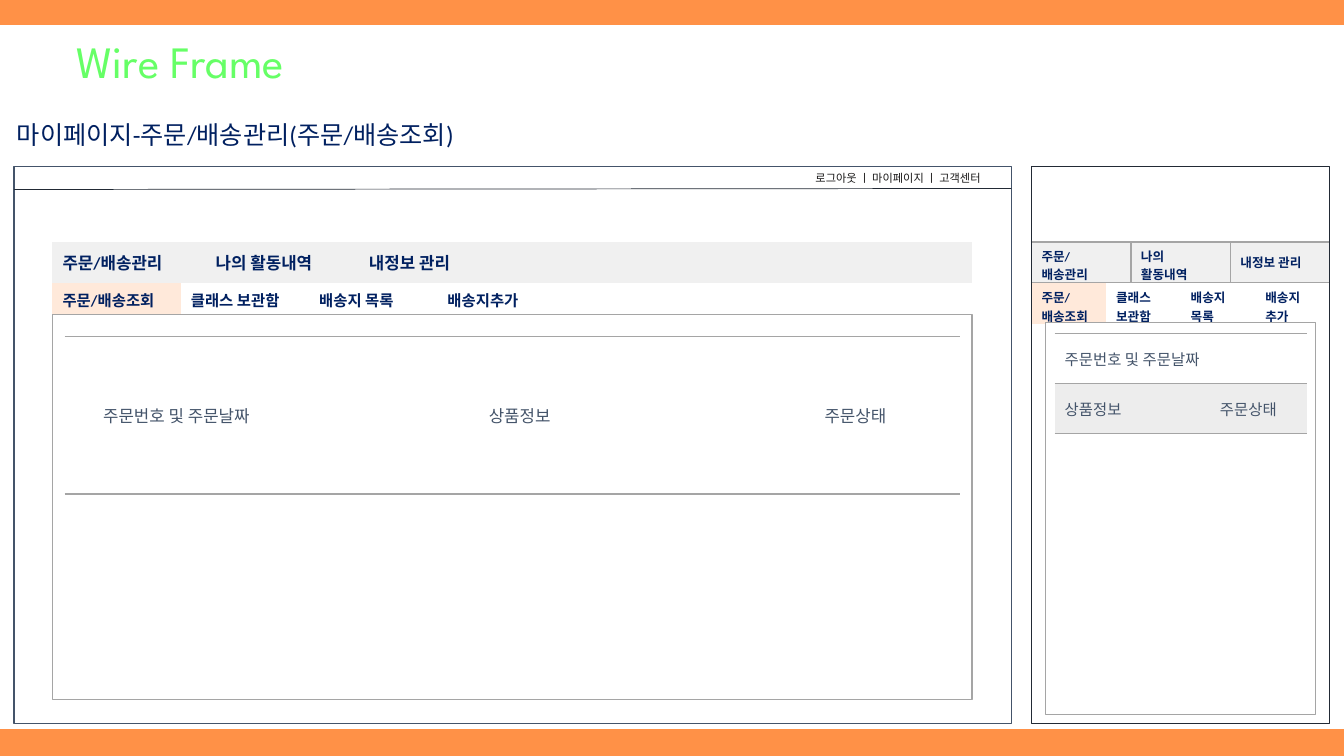
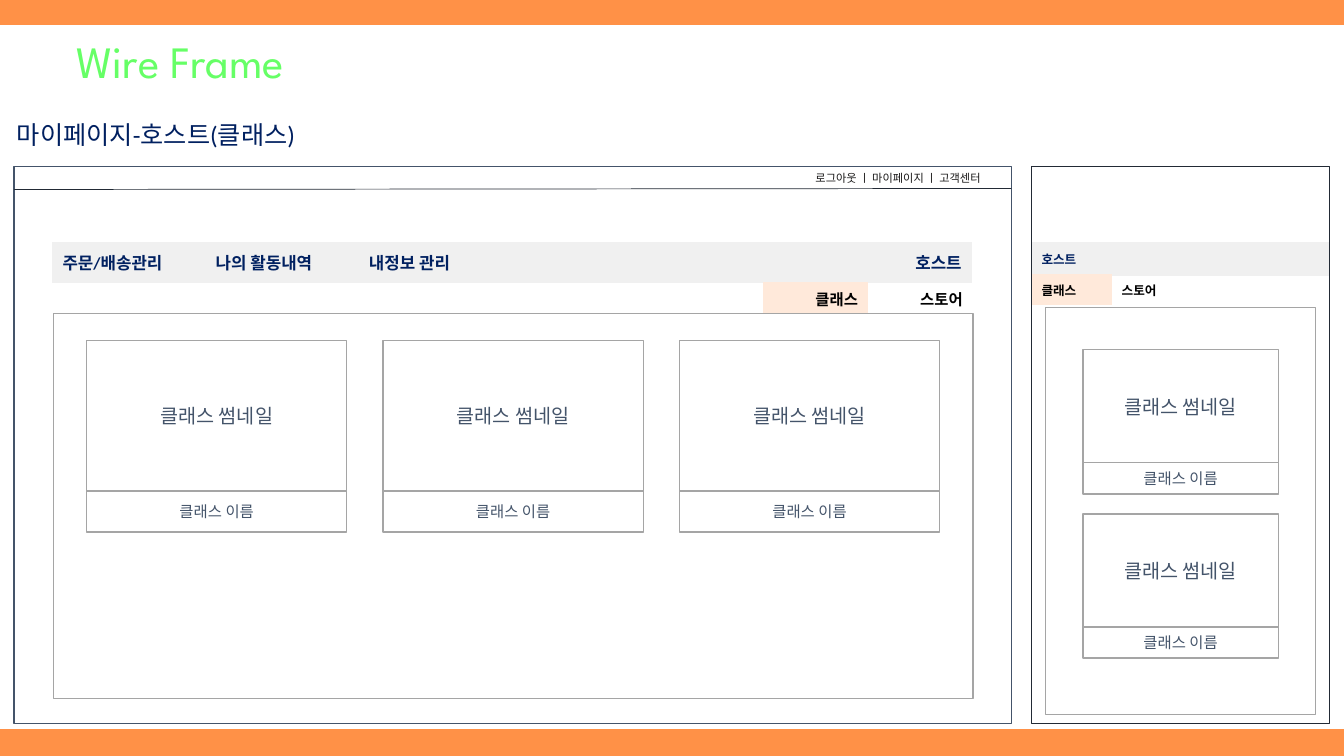
from dataclasses import dataclass
from typing import NamedTuple, Optional, Sequence

from lxml.etree import SubElement
from pptx import Presentation
from pptx.dml.color import RGBColor
from pptx.enum.shapes import MSO_CONNECTOR as Connector, MSO_SHAPE as Preset
from pptx.enum.text import MSO_ANCHOR as Anchor, MSO_AUTO_SIZE as AutoSize, PP_ALIGN as Align
from pptx.oxml.ns import qn
from pptx.util import Inches, Pt


@dataclass(frozen=True)
class Theme:
    orange: str = "FF9147"
    white: str = "FFFFFF"
    green: str = "66FF66"
    navy: str = "002060"
    slate: str = "44546A"
    ink: str = "222A35"
    utility: str = "181717"
    black: str = "000000"
    gray: str = "A5A5A5"
    bar: str = "F0F0F0"
    stripe: str = "EDEDED"
    active: str = "FFE9DA"
    title_font: str = "League Spartan"
    body_font: str = "Calibri"
    title_size: float = 32
    heading_size: float = 18
    thumbnail_size: float = 14
    menu_size: float = 12
    label_size: float = 11
    mobile_size: float = 9
    utility_size: float = 8


THEME = Theme()
NO_GRID_STYLE = "{2D5ABB26-0587-4C30-8999-92F81FD0307C}"


class Box(NamedTuple):
    left: float
    top: float
    width: float
    height: float

    def lengths(self) -> list:
        return [Inches(value) for value in self]


class Style(NamedTuple):
    size: float
    color: str
    bold: bool = False
    font: str = THEME.body_font


class Cell(NamedTuple):
    text: str = ""
    fill: Optional[str] = None
    align: Align = Align.LEFT
    borders: str = ""


MENU = Style(THEME.menu_size, THEME.navy, True)
TAB = Style(THEME.label_size, THEME.navy, True)
HOST_TAB = Style(THEME.label_size, THEME.black, True)
MOBILE = Style(THEME.mobile_size, THEME.navy, True)
MOBILE_HOST_TAB = Style(THEME.mobile_size, THEME.black, True)
ORDER = Style(THEME.menu_size, THEME.slate)
LABEL = Style(THEME.label_size, THEME.slate)
THUMBNAIL = Style(THEME.thumbnail_size, THEME.slate)

DESKTOP = Box(0.14, 1.65, 9.89, 5.53)
PHONE = Box(10.23, 1.65, 2.96, 5.53)
MENU_TOP = 2.4


def write(frame, text: str, style: Style, align: Align = Align.LEFT) -> None:
    frame.text = text
    for paragraph in frame.paragraphs:
        paragraph.alignment = align
        font = paragraph.font
        font.name = style.font
        font.size = Pt(style.size)
        font.bold = style.bold
        font.color.rgb = RGBColor.from_string(style.color)


def add_text(slide, box: Box, text: str, style: Style) -> None:
    frame = slide.shapes.add_textbox(*box.lengths()).text_frame
    frame.word_wrap = True
    frame.auto_size = AutoSize.SHAPE_TO_FIT_TEXT
    write(frame, text, style)


def add_rectangle(slide, box: Box, line: str, fill: Optional[str] = THEME.white,
                  text: str = "", style: Style = LABEL) -> None:
    shape = slide.shapes.add_shape(Preset.RECTANGLE, *box.lengths())
    shape.shadow.inherit = False
    if fill:
        shape.fill.solid()
        shape.fill.fore_color.rgb = RGBColor.from_string(fill)
    else:
        shape.fill.background()
    shape.line.color.rgb = RGBColor.from_string(line)
    shape.line.width = Pt(1)
    if text:
        shape.text_frame.vertical_anchor = Anchor.MIDDLE
        write(shape.text_frame, text, style, Align.CENTER)


def add_borders(cell, sides: str) -> None:
    properties = cell._tc.get_or_add_tcPr()
    for side in (side for side in "LRTB" if side in sides):
        line = SubElement(properties, qn(f"a:ln{side}"), w=str(Pt(1)))
        fill = SubElement(line, qn("a:solidFill"))
        SubElement(fill, qn("a:srgbClr"), val=THEME.gray)


def add_grid(slide, box: Box, rows: Sequence[Sequence[Cell]], style: Style,
             widths: Sequence[float] = ()):
    columns = len(rows[0])
    table = slide.shapes.add_table(len(rows), columns, *box.lengths()).table
    table.first_row = table.horz_banding = False
    table._tbl.tblPr.find(qn("a:tableStyleId")).text = NO_GRID_STYLE
    for column, width in zip(table.columns, widths):
        column.width = Inches(width)
    for row_index, row in enumerate(rows):
        for column_index, content in enumerate(row):
            cell = table.cell(row_index, column_index)
            cell.vertical_anchor = Anchor.MIDDLE
            write(cell.text_frame, content.text, style, content.align)
            add_borders(cell, content.borders)
            if content.fill:
                cell.fill.solid()
                cell.fill.fore_color.rgb = RGBColor.from_string(content.fill)
            else:
                cell.fill.background()
    return table


def bar_cells(labels: Sequence[str], borders: str = "") -> list[Cell]:
    return [Cell(label, THEME.bar, borders=borders) for label in labels]


def tab_cells(labels: Sequence[str], align: Align = Align.LEFT) -> list[Cell]:
    return [Cell(label, None if index else THEME.active, align)
            for index, label in enumerate(labels)]


def add_card(slide, box: Box, name_height: float) -> None:
    picture_height = box.height - name_height
    add_rectangle(slide, box._replace(height=picture_height), THEME.gray,
                  text="클래스 썸네일", style=THUMBNAIL)
    add_rectangle(slide, box._replace(top=box.top + picture_height, height=name_height),
                  THEME.gray, text="클래스 이름")


def start_slide(presentation, heading: str, last_menu: str = ""):
    slide = presentation.slides.add_slide(presentation.slide_layouts[6])
    background = slide.background.fill
    background.solid()
    background.fore_color.rgb = RGBColor.from_string(THEME.orange)
    add_rectangle(slide, Box(0, 0.26, 13.33, 6.97), THEME.white)
    add_text(slide, Box(0.66, 0.29, 2.77, 0.64), "Wire Frame",
             Style(THEME.title_size, THEME.green, font=THEME.title_font))
    add_text(slide, Box(0.07, 1.13, 9.71, 0.4), heading,
             Style(THEME.heading_size, THEME.navy))

    add_rectangle(slide, DESKTOP, THEME.slate)
    menu = bar_cells(["주문/배송관리", "나의 활동내역", "내정보 관리", "", ""])
    menu.append(Cell(last_menu, THEME.bar, Align.RIGHT))
    add_grid(slide, Box(0.52, MENU_TOP, 9.12, 0.41), [menu], MENU)

    rule = slide.shapes.add_connector(
        Connector.STRAIGHT, Inches(DESKTOP.left), Inches(1.88),
        Inches(DESKTOP.left + DESKTOP.width), Inches(1.87))
    rule.line.color.rgb = RGBColor.from_string(THEME.ink)
    rule.line.width = Pt(0.5)
    SubElement(rule._element.spPr, qn("a:effectLst"))
    add_text(slide, Box(7.99, 1.65, 2.04, 0.24), "로그아웃 ㅣ 마이페이지 ㅣ 고객센터",
             Style(THEME.utility_size, THEME.utility))
    return slide


def build_orders(presentation) -> None:
    slide = start_slide(presentation, "마이페이지-주문/배송관리(주문/배송조회)")
    tabs = tab_cells(["주문/배송조회", "클래스 보관함", "배송지 목록", "배송지추가"])
    add_grid(slide, Box(0.52, 2.81, 5.09, 0.31), [tabs], TAB)
    add_rectangle(slide, Box(0.52, 3.12, 9.12, 3.82), THEME.gray)
    order = [Cell(label, align=Align.CENTER, borders="TB")
             for label in ("주문번호 및 주문날짜", "상품정보", "주문상태")]
    add_grid(slide, Box(0.64, 3.34, 8.89, 1.56), [order], ORDER, (2.22, 4.59, 2.07))

    menu = bar_cells(["주문/\n배송관리", "나의\n활동내역", "내정보 관리"], "LRTB")
    add_grid(slide, Box(PHONE.left, MENU_TOP, PHONE.width, 0.4), [menu], MOBILE)
    tabs = tab_cells(["주문/\n배송조회", "클래스\n보관함", "배송지\n목록", "배송지\n추가"])
    add_grid(slide, Box(PHONE.left, 2.81, PHONE.width, 0.4), [tabs], MOBILE)
    add_rectangle(slide, PHONE, THEME.ink, None)
    add_rectangle(slide, Box(10.37, 3.2, 2.68, 3.89), THEME.gray)
    rows = [
        [Cell("주문번호 및 주문날짜", borders="TB"), Cell(borders="TB")],
        [Cell("상품정보", THEME.stripe, borders="B"),
         Cell("주문상태", THEME.stripe, borders="B")],
    ]
    table = add_grid(slide, Box(10.46, 3.31, 2.5, 0.99), rows, LABEL, (1.54, 0.96))
    table.cell(0, 0).merge(table.cell(0, 1))


def build_host(presentation) -> None:
    slide = start_slide(presentation, "마이페이지-호스트(클래스)", "호스트")
    labels = ["클래스", "스토어"]
    add_grid(slide, Box(7.57, 2.8, 2.08, 0.31), [tab_cells(labels, Align.RIGHT)], HOST_TAB)
    add_rectangle(slide, Box(0.53, 3.11, 9.12, 3.82), THEME.gray)
    for index in range(3):
        add_card(slide, Box(0.86 + 2.94 * index, 3.38, 2.58, 1.9), 0.41)

    add_rectangle(slide, Box(10.37, 3.05, 2.68, 4.04), THEME.gray, None)
    for index in range(2):
        add_card(slide, Box(10.74, 3.47 + 1.63 * index, 1.94, 1.43), 0.31)
    add_grid(slide, Box(PHONE.left, MENU_TOP, PHONE.width, 0.34),
             [bar_cells(["호스트", "", ""])], MOBILE)
    add_grid(slide, Box(PHONE.left, 2.72, 1.59, 0.31), [tab_cells(labels)], MOBILE_HOST_TAB)
    add_rectangle(slide, PHONE, THEME.ink, None)


def main() -> None:
    presentation = Presentation()
    presentation.slide_width = Inches(13.33)
    presentation.slide_height = Inches(7.5)
    build_orders(presentation)
    build_host(presentation)
    presentation.save("out.pptx")


if __name__ == "__main__":
    main()
